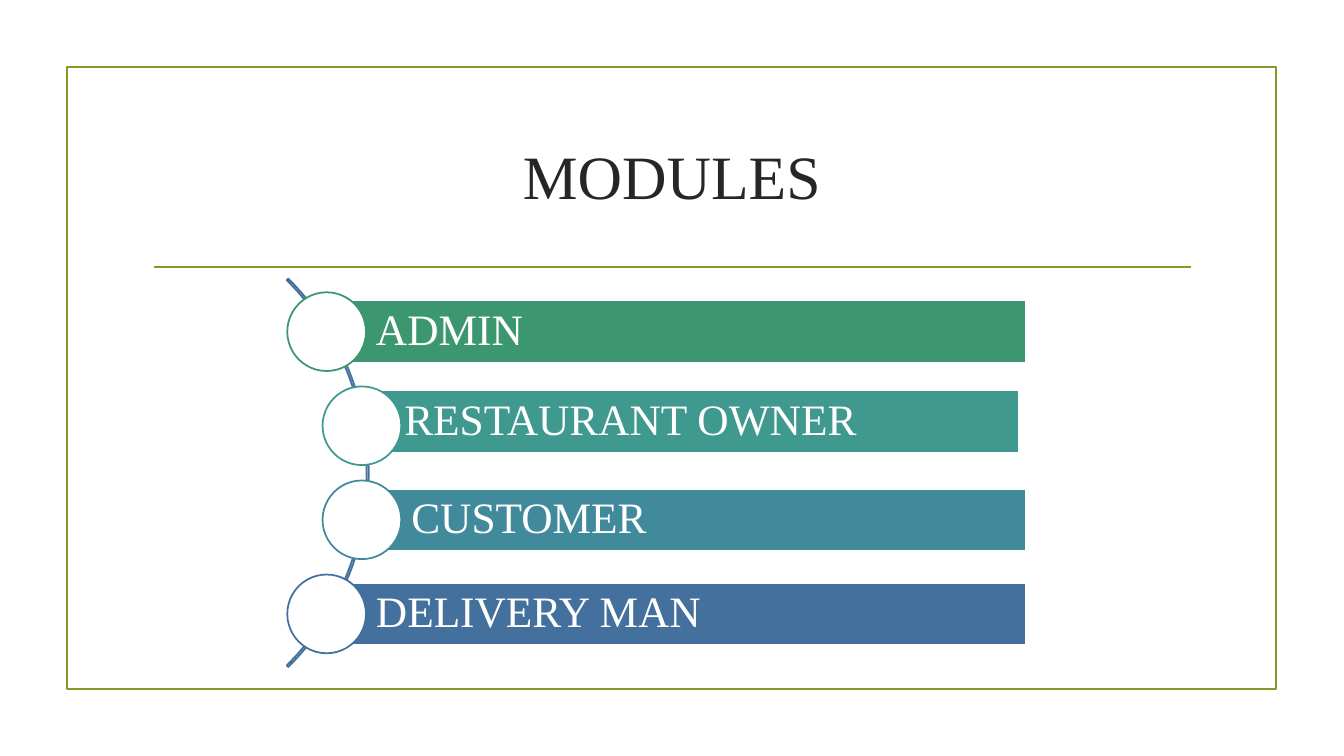
from lxml import etree
from pptx import Presentation
from pptx.dml.color import RGBColor
from pptx.enum.shapes import MSO_CONNECTOR, MSO_SHAPE as Preset
from pptx.enum.text import MSO_ANCHOR as Anchor, PP_ALIGN as Align
from pptx.oxml.ns import qn
from pptx.util import Pt

FONT = "Times New Roman"
COLORS = {
    "white": "FFFFFF", "title": "262626", "olive": "83992A",
    "green": "3C9770", "teal": "3F998E", "cyan": "418A9B", "blue": "44709D",
}
LINE_WIDTH = 1.25

# Name, colour, centre of the circle, shift of the bar
MODULES = [
    ("ADMIN", "green", 233.3, (0, 0)),
    ("RESTAURANT OWNER", "teal", 258.5, (-5, -2.9)),
    ("CUSTOMER", "cyan", 258.5, (0, 0)),
    ("DELIVERY MAN", "blue", 233.3, (0, 0)),
]
FIRST_CENTER, PITCH = 236.9, 67.2
BAR_RIGHT, BAR_HEIGHT = 733, 44.5
CIRCLE, ARC = 56.2, 392.4


def rgb(name):
    return RGBColor.from_string(COLORS[name])


def add_preset(slide, preset, left, top, width, height, line, fill=None):
    shape = slide.shapes.add_shape(preset, Pt(left), Pt(top), Pt(width), Pt(height))
    shape.shadow.inherit = False
    if fill:
        shape.fill.solid()
        shape.fill.fore_color.rgb = rgb(fill)
    else:
        shape.fill.background()
    shape.line.color.rgb = rgb(line)
    shape.line.width = Pt(LINE_WIDTH)
    return shape


def add_rule(slide, left, right, y):
    rule = slide.shapes.add_connector(MSO_CONNECTOR.STRAIGHT, Pt(left), Pt(y), Pt(right), Pt(y))
    rule.line.color.rgb = rgb("olive")
    rule.line.width = Pt(LINE_WIDTH)
    etree.SubElement(rule._element.spPr, qn("a:effectLst"))


def write(shape, text, size, color, align):
    frame = shape.text_frame
    frame.word_wrap = True
    frame.vertical_anchor = Anchor.MIDDLE
    paragraph = frame.paragraphs[0]
    paragraph.alignment = align
    paragraph.line_spacing = 0.9
    run = paragraph.add_run()
    run.text = text
    run.font.name = FONT
    run.font.size = Pt(size)
    run.font.color.rgb = rgb(color)


def add_title(slide, text):
    title = slide.shapes.title
    title.left, title.top, title.width, title.height = Pt(102), Pt(77), Pt(756), Pt(103)
    write(title, text, 44, "title", Align.CENTER)


def add_arc(slide, center_y):
    arc = add_preset(slide, Preset.BLOCK_ARC, -129, center_y - ARC / 2, ARC, ARC, "blue")
    for index, value in enumerate((189, 27, 0.004)):
        arc.adjustments[index] = value


def add_module(slide, name, color, center_x, center_y, shift):
    left, top = center_x + shift[0], center_y - BAR_HEIGHT / 2 + shift[1]
    bar = add_preset(slide, Preset.RECTANGLE, left, top, BAR_RIGHT - center_x, BAR_HEIGHT,
                     "white", color)
    frame = bar.text_frame
    frame.margin_left = Pt(35.3)
    frame.margin_top = frame.margin_right = frame.margin_bottom = Pt(6.2)
    write(bar, name, 31, "white", Align.LEFT)
    add_preset(slide, Preset.OVAL, center_x - CIRCLE / 2, center_y - CIRCLE / 2,
               CIRCLE, CIRCLE, color, "white")


def main():
    deck = Presentation()
    deck.slide_width, deck.slide_height = Pt(960), Pt(540)
    slide = deck.slides.add_slide(deck.slide_layouts[5])

    # Frame, title and rule
    add_preset(slide, Preset.RECTANGLE, 47.7, 48, 864, 444, "olive")
    add_title(slide, "MODULES")
    add_rule(slide, 110, 850.5, 190.8)

    # Modules along the arc
    add_arc(slide, FIRST_CENTER + PITCH * (len(MODULES) - 1) / 2)
    for row, (name, color, center_x, shift) in enumerate(MODULES):
        add_module(slide, name, color, center_x, FIRST_CENTER + row * PITCH, shift)

    deck.save("out.pptx")


if __name__ == "__main__":
    main()
